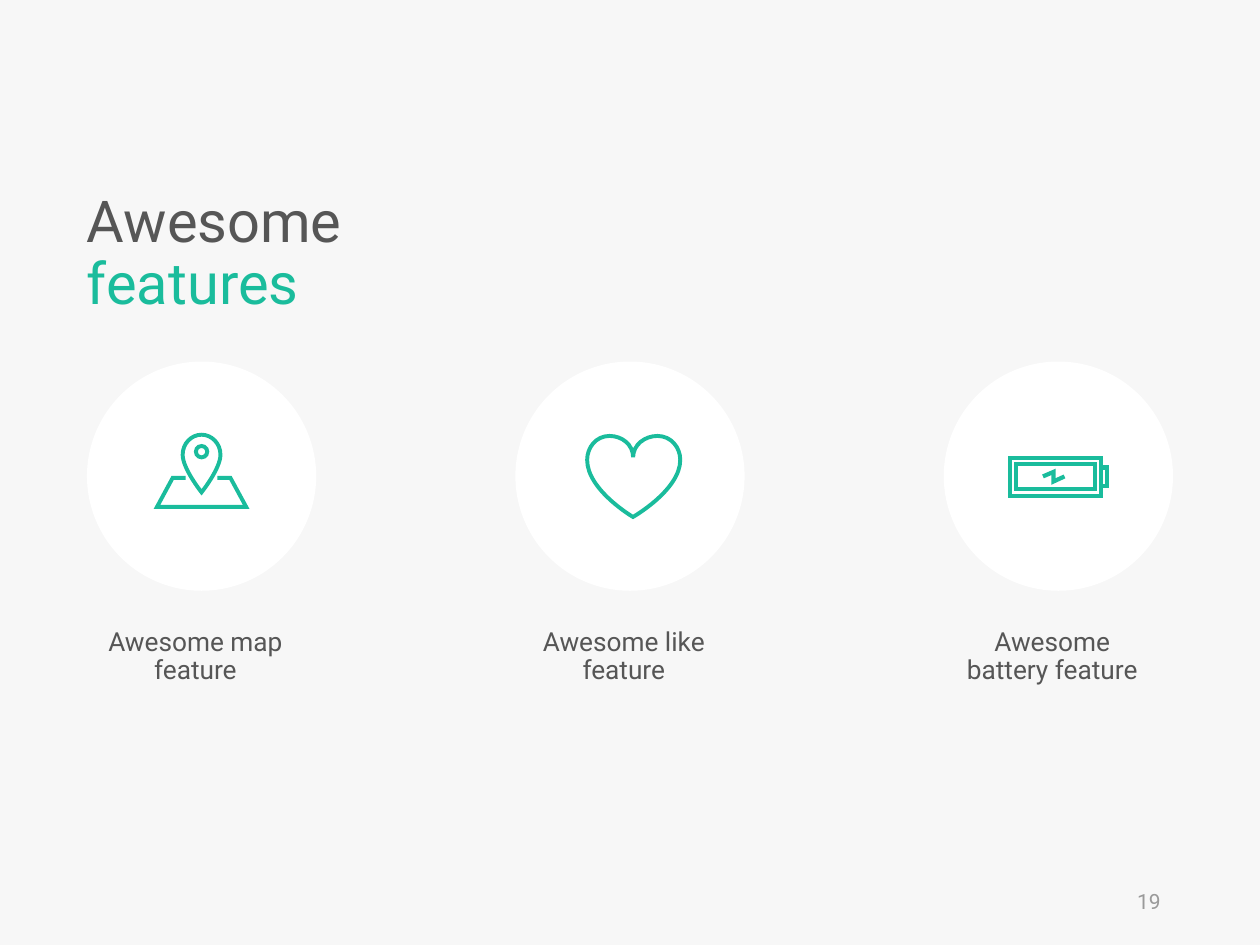
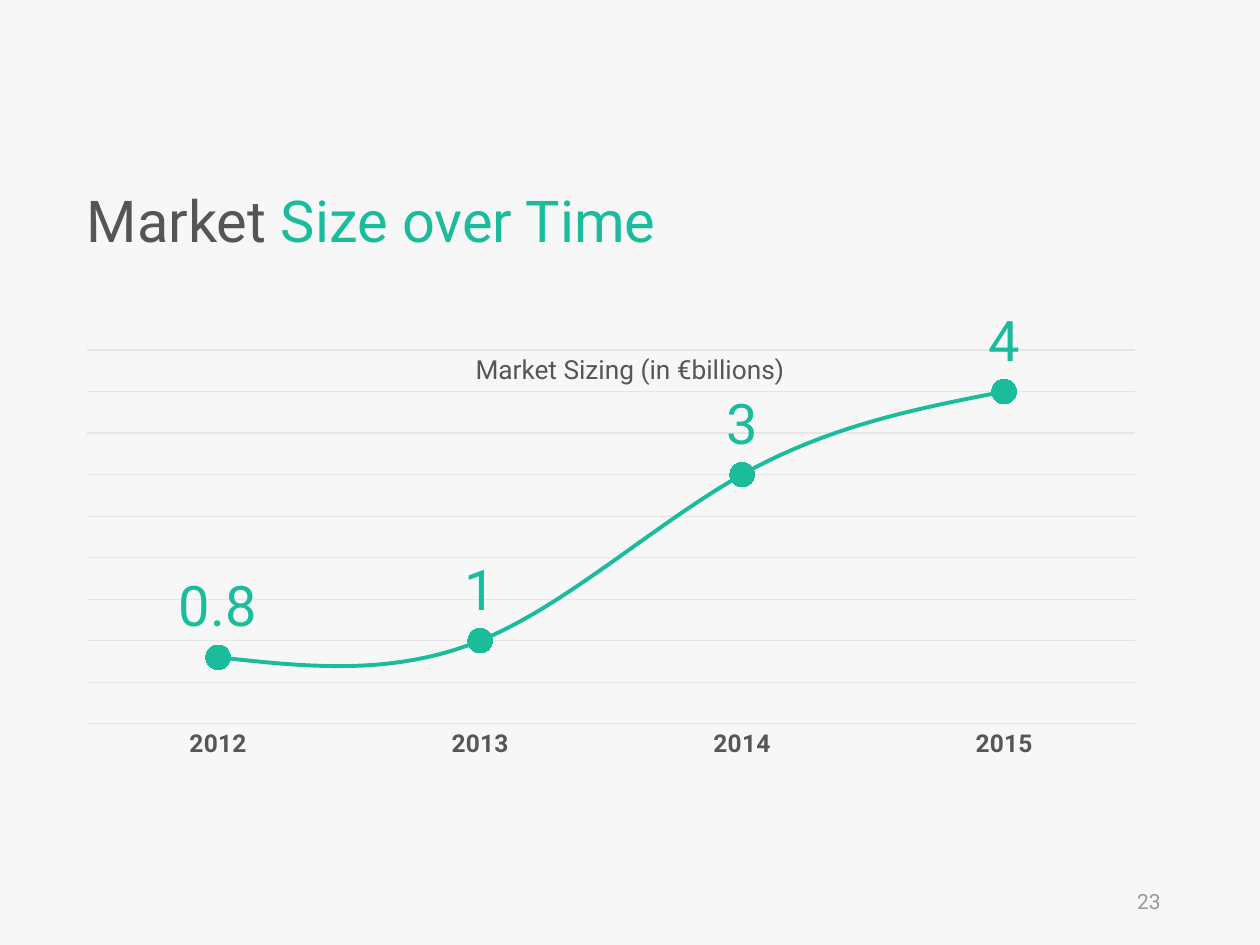
from lxml.etree import SubElement
from pptx import Presentation
from pptx.chart.data import CategoryChartData
from pptx.dml.color import RGBColor
from pptx.enum.chart import XL_CHART_TYPE as ChartType
from pptx.enum.chart import XL_LABEL_POSITION as LabelPosition
from pptx.enum.chart import XL_MARKER_STYLE as MarkerStyle
from pptx.enum.chart import XL_TICK_MARK as TickMark
from pptx.enum.shapes import MSO_SHAPE as Shape
from pptx.enum.text import MSO_ANCHOR as Anchor
from pptx.enum.text import PP_ALIGN as Align
from pptx.oxml import parse_xml
from pptx.oxml.ns import nsdecls, qn
from pptx.util import Pt

FONT = "Roboto"
BACKGROUND, WHITE, GRID = "F7F7F7", "FFFFFF", "E6E6E6"
GREEN, DARK, GREY = "1ABC9C", "565656", "9A9A9A"
LEFT = 49.7
FLUSH_INSETS = (0, 3.6, 7.2, 3.6)
DEFAULT_INSETS = (7.2, 3.6, 7.2, 3.6)


def color(hex_value):
    return RGBColor.from_string(hex_value)


def style_font(font, size, hex_value, bold=False):
    font.name, font.size, font.bold = FONT, Pt(size), bold
    font.color.rgb = color(hex_value)


def add_text(slide, box, runs, size, align=Align.LEFT, insets=DEFAULT_INSETS,
             line_spacing=1.0, anchor=Anchor.TOP):
    """Place one paragraph; runs are (text, colour) pairs."""
    frame = slide.shapes.add_textbox(*map(Pt, box)).text_frame
    frame.word_wrap = True
    frame.vertical_anchor = anchor
    (frame.margin_left, frame.margin_top,
     frame.margin_right, frame.margin_bottom) = map(Pt, insets)
    paragraph = frame.paragraphs[0]
    paragraph.alignment = align
    paragraph.line_spacing = line_spacing
    paragraph.font.name, paragraph.font.size = FONT, Pt(size)
    for text, hex_value in runs:
        run = paragraph.add_run()
        run.text = text
        run.font.color.rgb = color(hex_value)


def add_base_slide(presentation):
    slide = presentation.slides.add_slide(presentation.slide_layouts[6])
    slide.background.fill.solid()
    slide.background.fill.fore_color.rgb = color(BACKGROUND)
    return slide


def add_title_and_number(slide, title_runs, title_width, number):
    """Two-colour title and page number."""
    add_text(slide, (LEFT, 106.5, title_width, 43), title_runs, 33,
             insets=FLUSH_INSETS, line_spacing=0.9)
    add_text(slide, (508.3, 500.4, 162, 28.8), [(number, GREY)], 12,
             Align.RIGHT, anchor=Anchor.MIDDLE)


# Icon drawing: every icon takes the origin of its circle

def outline(shape, width):
    shape.shadow.inherit = False
    shape.fill.background()
    shape.line.color.rgb = color(GREEN)
    shape.line.width = Pt(width)
    SubElement(shape.line._get_or_add_ln(), qn("a:miter"), lim="800000")


def add_outlined(shapes, kind, origin, box, width):
    left, top, box_width, box_height = box
    shape = shapes.add_shape(kind, Pt(origin[0] + left), Pt(origin[1] + top),
                             Pt(box_width), Pt(box_height))
    outline(shape, width)


def add_path(shapes, origin, points, width, close=False):
    first, *rest = [(Pt(origin[0] + x), Pt(origin[1] + y)) for x, y in points]
    builder = shapes.build_freeform(*first)
    builder.add_line_segments(rest, close=close)
    shape = builder.convert_to_shape()
    outline(shape, width)
    return shape


def add_curve(shapes, origin, points, width):
    """Closed path; after the start, points come as control, control, end."""
    shape = add_path(shapes, origin, points, width, close=True)
    lines = list(shape._element.iter(qn("a:lnTo")))[:len(points) - 1]
    for index in range(0, len(lines), 3):
        curve = parse_xml(f'<a:cubicBezTo {nsdecls("a")}/>')
        lines[index].addprevious(curve)
        for line in lines[index:index + 3]:
            curve.append(line[0])
            line.getparent().remove(line)


def draw_map(slide, origin):
    shapes = slide.shapes.add_group_shape().shapes
    add_outlined(shapes, Shape.OVAL, origin, (62.25, 48.25, 6.5, 6.5), 2.25)
    pin = [(76.3, 53.3),
           (76.3, 46.8), (71.3, 41.8), (65.5, 41.8),
           (59.7, 41.8), (54.7, 46.8), (54.7, 53.3),
           (54.7, 61.2), (65.5, 74.7), (65.5, 74.7),
           (65.5, 74.7), (76.3, 61.2), (76.3, 53.3)]
    add_curve(shapes, origin, pin, 2.25)
    sheet = [(56.4, 66.5), (49, 66.5), (40, 83.1), (65.5, 83.1),
             (91, 83.1), (82, 66.5), (74.6, 66.5)]
    add_path(shapes, origin, sheet, 2.25)


def draw_heart(slide, origin):
    heart = [(41, 56.2),
             (41, 73.4), (67.2, 88.8), (67.2, 88.8),
             (67.2, 88.8), (94.2, 73.4), (94.2, 56.2),
             (94.2, 49.2), (89.1, 42.5), (81.2, 42.5),
             (74, 42.5), (67.3, 47.5), (67.3, 54.7),
             (67.3, 47.5), (61, 42.5), (53.8, 42.5),
             (46, 42.5), (41, 49.2), (41, 56.2)]
    add_curve(slide.shapes, origin, heart, 2.25)


def draw_battery(slide, origin):
    shapes = slide.shapes.add_group_shape().shapes
    cap = [(89.8, 60.5), (93.4, 60.5), (93.4, 71.3), (89.8, 71.3)]
    bolt = [(56.7, 65.7), (62.7, 63.1), (62.7, 68.6), (69, 65.7)]
    add_outlined(shapes, Shape.RECTANGLE, origin, (37.9, 55, 52, 21.7), 2.38)
    add_path(shapes, origin, cap, 2.38)
    add_outlined(shapes, Shape.RECTANGLE, origin, (41.3, 58.6, 45, 14.4), 2.38)
    add_path(shapes, origin, bolt, 2.38)


def add_circle(slide, left, top):
    circle = slide.shapes.add_shape(Shape.OVAL, Pt(left), Pt(top),
                                    Pt(131), Pt(131))
    circle.shadow.inherit = False
    circle.fill.solid()
    circle.fill.fore_color.rgb = color(WHITE)
    circle.line.fill.background()


def add_caption(slide, left, top, caption):
    add_text(slide, (left + 5.8, top + 149, 119.5, 40.3), [(caption, DARK)],
             15, Align.CENTER, FLUSH_INSETS, 0.9)


def add_features_slide(presentation):
    slide = add_base_slide(presentation)
    features = [(draw_map, "Awesome map feature"),
                (draw_heart, "Awesome like feature"),
                (draw_battery, "Awesome battery feature")]
    origins = [(LEFT + index * 244.8, 206.6) for index in range(len(features))]
    for origin in origins:
        add_circle(slide, *origin)
    for origin, (draw_icon, _) in zip(origins, features):
        draw_icon(slide, origin)
    for origin, (_, caption) in zip(origins, features):
        add_caption(slide, *origin, caption)
    add_title_and_number(
        slide, [("Awesome ", DARK), ("features", GREEN)], 265, "19")


def set_plot_layout(chart, x, y, width, height):
    plot_area = chart._chartSpace.chart.plotArea
    for layout in plot_area.findall(qn("c:layout")):
        plot_area.remove(layout)
    plot_area.insert(0, parse_xml(
        f'<c:layout {nsdecls("c")}><c:manualLayout>'
        '<c:layoutTarget val="inner"/>'
        '<c:xMode val="edge"/><c:yMode val="edge"/>'
        f'<c:x val="{x}"/><c:y val="{y}"/>'
        f'<c:w val="{width}"/><c:h val="{height}"/>'
        '</c:manualLayout></c:layout>'))


def add_market_chart(slide, box):
    data = CategoryChartData()
    data.categories = ["2012", "2013", "2014", "2015"]
    data.add_series("Series 1", (0.8, 1, 3, 4))
    chart = slide.shapes.add_chart(ChartType.LINE_MARKERS, *map(Pt, box),
                                   data).chart
    chart.has_title = chart.has_legend = False
    style_font(chart.font, 10, DARK)
    set_plot_layout(chart, 0.02, 0.112, 0.965, 0.753)

    # Axes
    years, values = chart.category_axis, chart.value_axis
    years.major_tick_mark = years.minor_tick_mark = TickMark.NONE
    style_font(years.tick_labels.font, 14, DARK, bold=True)
    values.minimum_scale, values.maximum_scale = 0, 4.5
    values.major_unit = 0.5
    values.has_major_gridlines = True
    values.visible = False
    for axis_line in (years.format.line, values.major_gridlines.format.line):
        axis_line.color.rgb = color(GRID)
        axis_line.width = Pt(0.75)

    # Line, markers and labels
    chart.plots[0].vary_by_categories = False
    series = chart.plots[0].series[0]
    series.smooth = True
    series.format.line.color.rgb = color(GREEN)
    series.format.line.width = Pt(2.25)
    marker = series.marker
    marker.style, marker.size = MarkerStyle.CIRCLE, 14
    marker.format.fill.solid()
    marker.format.fill.fore_color.rgb = color(GREEN)
    marker.format.line.color.rgb = color(GREEN)
    labels = series.data_labels
    labels.show_value = True
    labels.position = LabelPosition.ABOVE
    style_font(labels.font, 32, GREEN)


def add_market_slide(presentation):
    slide = add_base_slide(presentation)
    add_market_chart(slide, (37.4, 168.3, 620.6, 283.7))
    add_text(slide, (231, 198.4, 258, 25.2),
             [("Market Sizing (in €billions)", DARK)], 15, Align.CENTER)
    add_title_and_number(
        slide, [("Market ", DARK), ("Size over Time", GREEN)], 367, "23")


def main():
    presentation = Presentation()
    presentation.slide_width, presentation.slide_height = Pt(720), Pt(540)
    add_features_slide(presentation)
    add_market_slide(presentation)
    presentation.save("out.pptx")


if __name__ == "__main__":
    main()
